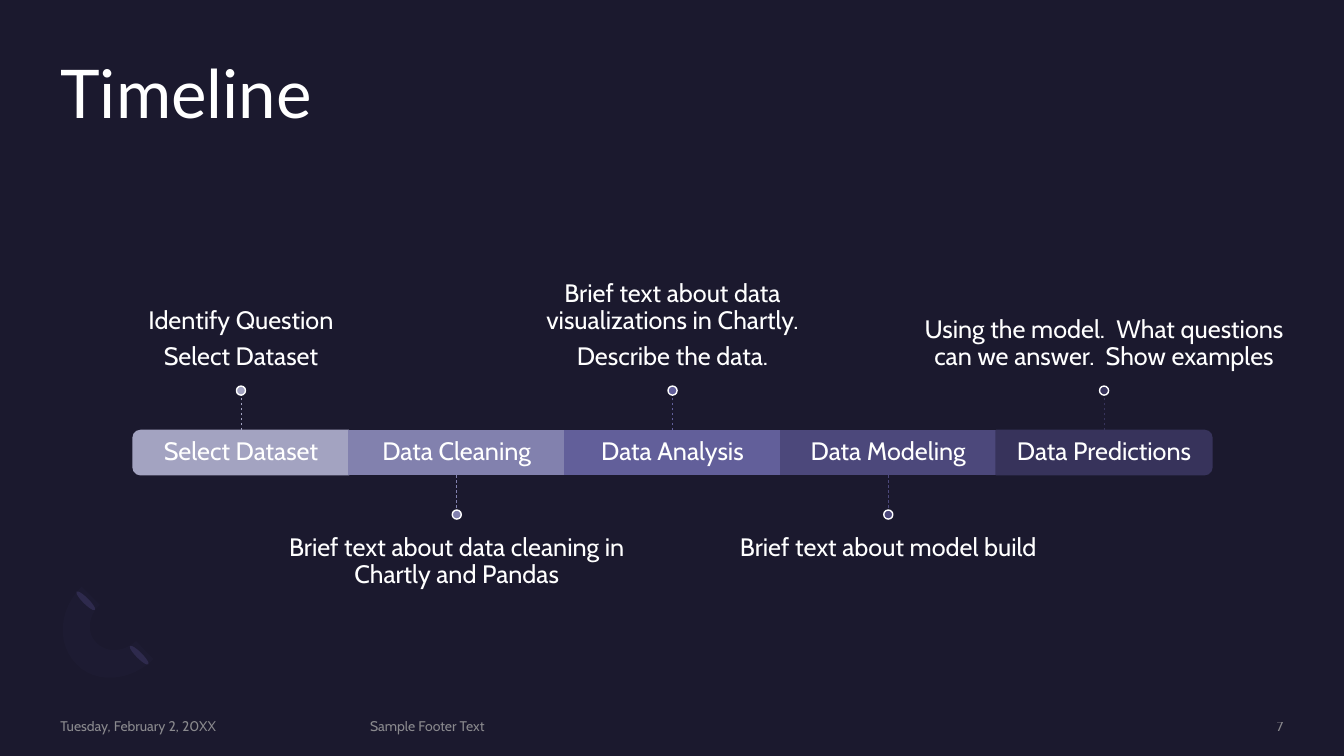
from pptx import Presentation, util as u
from pptx.dml.color import RGBColor
from pptx.enum import dml, shapes, text
from pptx.oxml import ns, xmlchemy

COLORS = {
    "background": "1B192E",
    "white": "FFFFFF",
    "footer": "A6A6A6",
    "petal": "2C284A",
    "arc": "7771B2",
}
STAGES = [
    ("Select Dataset", "A3A3C1", ["Identify Question", "Select Dataset"]),
    ("Data Cleaning", "8281AE", ["Brief text about data cleaning in Chartly and Pandas"]),
    ("Data Analysis", "625F9A",
     ["Brief text about data visualizations in Chartly.", "Describe the data."]),
    ("Data Modeling", "4C487B", ["Brief text about model build"]),
    ("Data Predictions", "37335B",
     ["Using the model.  What questions can we answer.  Show examples"]),
]
FOOTERS = [
    ("Tuesday, February 2, 20XX", 0, 2.88, text.PP_ALIGN.LEFT),
    ("Sample Footer Text", 3.07, 6.98, text.PP_ALIGN.LEFT),
    ("7", 10.28, 1.85, text.PP_ALIGN.RIGHT),
]
BODY = {"name": "Cabin", "size": u.Pt(18)}
CENTERED = {"alignment": text.PP_ALIGN.CENTER, "line_spacing": 0.9,
            "space_after": u.Pt(6.3)}
MARKER = 0.09
STEM = 0.35


def apply_format(target, values):
    for name, value in values.items():
        setattr(target, name, value)


def set_alpha(element, percent):
    for color in element.iter(ns.qn("a:srgbClr")):
        alpha = xmlchemy.OxmlElement("a:alpha")
        alpha.set("val", str(percent * 1000))
        color.append(alpha)


def paint(shape, fill, line=None):
    shape.shadow.inherit = False
    shape.fill.solid()
    shape.fill.fore_color.rgb = RGBColor.from_string(fill)
    if line:
        shape.line.color.rgb = RGBColor.from_string(line)
        shape.line.width = u.Pt(1)
    else:
        shape.line.fill.background()


def add_shape(slide, kind, box, fill, line=None, rotation=0):
    shape = slide.shapes.add_shape(kind, *map(u.Inches, box))
    shape.rotation = rotation
    paint(shape, fill, line)
    return shape


def add_text(slide, box, lines, font, color, paragraph_format,
             anchor=text.MSO_ANCHOR.TOP, insets=(0, 0, 0, 0), alpha=None):
    shape = slide.shapes.add_textbox(*map(u.Inches, box))
    frame = shape.text_frame
    sides = ("margin_left", "margin_top", "margin_right", "margin_bottom")
    apply_format(frame, {"word_wrap": True, "vertical_anchor": anchor})
    apply_format(frame, dict(zip(sides, map(u.Inches, insets))))
    for index, line in enumerate(lines):
        paragraph = frame.add_paragraph() if index else frame.paragraphs[0]
        apply_format(paragraph, paragraph_format)
        run = paragraph.add_run()
        run.text = line
        apply_format(run.font, font)
        run.font.color.rgb = RGBColor.from_string(color)
    if alpha:
        set_alpha(shape.element, alpha)


def add_stem(slide, bar, center, start, end, color, side):
    points = map(u.Inches, (center, start, center, end))
    stem = slide.shapes.add_connector(shapes.MSO_CONNECTOR.STRAIGHT, *points)
    if not bar.rotation:
        stem.begin_connect(bar, side)
    stem.line.color.rgb = RGBColor.from_string(color)
    apply_format(stem.line, {"width": u.Pt(0.5), "dash_style": dml.MSO_LINE.DASH})
    stem.element.spPr.append(xmlchemy.OxmlElement("a:effectLst"))


def curve(start, first, second, end, steps=12):
    for step in range(1, steps + 1):
        t = step / steps
        weights = ((1 - t) ** 3, 3 * t * (1 - t) ** 2, 3 * t * t * (1 - t), t ** 3)
        yield tuple(sum(w * point[axis] for w, point in
                        zip(weights, (start, first, second, end))) for axis in (0, 1))


def add_ornament(slide, left, top):
    for x, y in ((0.79, 0.55), (0.26, 0.01)):
        add_shape(slide, shapes.MSO_SHAPE.OVAL, (left + x, top + y, 0.06, 0.26),
                  COLORS["petal"], rotation=135)
    outer_end, inner_start = (0.25, 0), (0.43, 0.18)
    inner_middle, inner_end = (0.4, 0.56), (0.79, 0.54)
    tip, base = (0.96, 0.72), (0.2, 0.77)
    outline = [
        *curve(base, (0, 0.57), (0.02, 0.23), outer_end), inner_start,
        *curve(inner_start, (0.31, 0.29), (0.3, 0.47), inner_middle),
        *curve(inner_middle, (0.5, 0.66), (0.67, 0.65), inner_end), tip,
        *curve(tip, (0.74, 0.94), (0.39, 0.97), base),
    ]
    points = [(u.Inches(left + x), u.Inches(top + y)) for x, y in outline]
    builder = slide.shapes.build_freeform(*points[-1])
    builder.add_line_segments(points[:-1], close=True)
    arc = builder.convert_to_shape()
    paint(arc, COLORS["arc"])
    set_alpha(arc.element.spPr, 3)


def add_bar(slide, box, color, rotation):
    left, top, width, height = box
    if not rotation:
        return add_shape(slide, shapes.MSO_SHAPE.RECTANGLE, box, color, color)
    upright = (left + (width - height) / 2, top + (height - width) / 2, height, width)
    return add_shape(slide, shapes.MSO_SHAPE.ROUND_2_SAME_RECTANGLE, upright,
                     color, color, rotation)


def add_stage(slide, box, label, color, notes, above, rotation):
    left, top, width, height = box
    center = left + width / 2
    note_width, note_height = 3.57, 1.52
    bar = add_bar(slide, box, color, rotation)
    add_text(slide, box, [label], BODY, COLORS["white"], CENTERED,
             text.MSO_ANCHOR.MIDDLE, (0.15, 0, 0.15, 0))
    if above:
        side, start, end = 0, top, top - STEM
        marker_top = end - MARKER
        note_top, anchor, insets = (marker_top - note_height,
                                    text.MSO_ANCHOR.BOTTOM, (0, 0, 0, 0.15))
    else:
        side, start, end = 2, top + height, top + height + STEM
        marker_top = end
        note_top, anchor, insets = (end + MARKER,
                                    text.MSO_ANCHOR.TOP, (0, 0.15, 0, 0))
    add_text(slide, (center - note_width / 2, note_top, note_width, note_height),
             notes, BODY, COLORS["white"], CENTERED, anchor, insets)
    add_stem(slide, bar, center, start, end, color, side)
    add_shape(slide, shapes.MSO_SHAPE.OVAL,
              (center - MARKER / 2, marker_top, MARKER, MARKER),
              color, COLORS["white"])


def add_timeline(slide, left, top, width, height):
    stage_width = width / len(STAGES)
    rotations = {0: 270, len(STAGES) - 1: 90}
    for index, (label, color, notes) in enumerate(STAGES):
        box = (left + index * stage_width, top, stage_width, height)
        add_stage(slide, box, label, color, notes, index % 2 == 0,
                  rotations.get(index, 0))


def add_title(slide, left, top, width, height):
    add_text(slide, (left, top, width, height), ["Timeline"],
             {"name": "Lato", "size": u.Pt(48)}, COLORS["white"], {"line_spacing": 0.9})


def add_footer(slide, left, top, height):
    for line, offset, width, alignment in FOOTERS:
        add_text(slide, (left + offset, top, width, height), [line],
                 {"name": "Cabin", "size": u.Pt(10)}, COLORS["footer"],
                 {"alignment": alignment}, text.MSO_ANCHOR.MIDDLE, alpha=80)


def main():
    presentation = Presentation()
    apply_format(presentation, {"slide_width": u.Inches(13.33),
                                "slide_height": u.Inches(7.5)})
    slide = presentation.slides.add_slide(presentation.slide_layouts[6])
    slide.background.fill.solid()
    slide.background.fill.fore_color.rgb = RGBColor.from_string(COLORS["background"])
    add_ornament(slide, 0.56, 5.82)
    add_title(slide, 0.6, 0.6, 12.13, 1.46)
    add_timeline(slide, 1.32, 4.27, 10.7, 0.44)
    add_footer(slide, 0.6, 7.12, 0.17)
    presentation.save("out.pptx")


if __name__ == "__main__":
    main()
